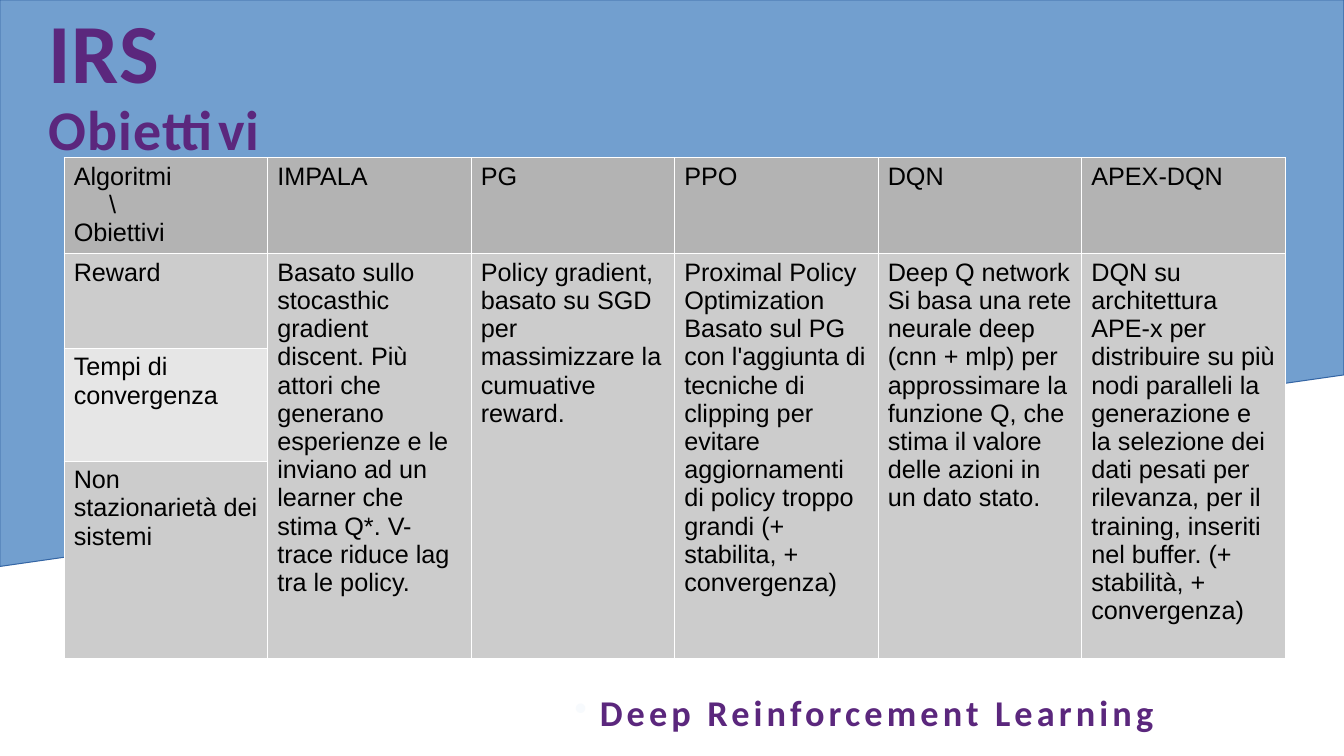
from lxml.etree import SubElement
from pptx import Presentation
from pptx.dml.color import RGBColor
from pptx.enum.text import MSO_ANCHOR
from pptx.oxml.ns import qn
from pptx.util import Cm, Emu, Inches, Pt

PURPLE = "5B277D"
HEAD = ["IMPALA", "PG", "PPO", "DQN", "APEX-DQN"]
GOALS = [
    ("Reward", "CCCCCC"),
    ("Tempi di convergenza", "E6E6E6"),
    ("Non stazionarietà dei sistemi", "CCCCCC"),
]
NOTES = [
    "Basato sullo stocasthic gradient discent. Più attori che generano "
    "esperienze e le inviano ad un learner che stima Q*. V-trace riduce lag "
    "tra le policy.",
    "Policy gradient, basato su SGD per massimizzare la cumuative reward.",
    "Proximal Policy Optimization Basato sul PG con l'aggiunta di tecniche di "
    "clipping per evitare aggiornamenti di policy troppo grandi "
    "(+ stabilita, + convergenza)",
    "Deep Q network Si basa una rete neurale deep (cnn + mlp) per approssimare "
    "la funzione Q, che stima il valore delle azioni in un dato stato.",
    "DQN su architettura APE-x per distribuire su più nodi paralleli la "
    "generazione e la selezione dei dati pesati per rilevanza, per il "
    "training, inseriti nel buffer. (+ stabilità, + convergenza)",
]


def color(code):
    """Turn a hex string into a colour."""
    return RGBColor.from_string(code)


def apply(target, values):
    """Set each named attribute on the target."""
    for name, value in values.items():
        setattr(target, name, value)


class Deck:
    """Hold the style and the slide; places are percent of the slide size."""

    title = {"name": "Calibri", "bold": True}
    body = {"name": "Arial", "size": Pt(18)}
    plain = {"first_row": False, "horz_banding": False}
    inset = {"margin_left": Cm(0.25), "margin_right": Cm(0.25),
             "margin_top": Cm(0.13), "margin_bottom": 0}

    def __init__(self):
        """Open a deck with one blank slide."""
        self.deck = Presentation()
        apply(self.deck, {"slide_width": Inches(13.33), "slide_height": Inches(7.5)})
        self.slide = self.deck.slides.add_slide(self.deck.slide_layouts[6])

    def x(self, share):
        """Convert a percent of the width."""
        return Emu(round(self.deck.slide_width * share / 100))

    def y(self, share):
        """Convert a percent of the height."""
        return Emu(round(self.deck.slide_height * share / 100))

    def box(self, left, top, width, height):
        """Convert a frame given in percent."""
        return self.x(left), self.y(top), self.x(width), self.y(height)

    def shape(self, points, fill, edge):
        """Draw a closed outline."""
        spots = [(self.x(a), self.y(b)) for a, b in points]
        pen = self.slide.shapes.build_freeform(*spots[0])
        pen.add_line_segments(spots[1:], close=True)
        form = pen.convert_to_shape()
        form.shadow.inherit = False
        form.fill.solid()
        form.fill.fore_color.rgb = color(fill)
        form.line.color.rgb = color(edge)
        form.line.width = Pt(0)

    def text(self, frame, runs, track, look, bullet=None):
        """Add a heading box whose runs are split by line breaks."""
        area = self.slide.shapes.add_textbox(*self.box(*frame)).text_frame
        apply(area, {"word_wrap": True, **look})
        para = area.paragraphs[0]
        para.line_spacing = 0.9
        for i, (words, size) in enumerate(runs):
            if i:
                para.add_line_break()
            run = para.add_run()
            run.text = words
            apply(run.font, {**self.title, "size": Pt(size)})
            run.font.color.rgb = color(PURPLE)
            run._r.get_or_add_rPr().set("spc", str(track))
        if bullet:
            para.space_before = Pt(10)
            props = para._p.get_or_add_pPr()
            props.set("marL", str(Inches(0.25)))
            props.set("indent", str(Inches(-0.25)))
            tint = SubElement(props, qn("a:buClr"))
            SubElement(tint, qn("a:srgbClr"), val=bullet)
            SubElement(props, qn("a:buChar"), char="•")

    def grid(self, frame, rows, cols):
        """Add a plain table with the given row shares."""
        spot = self.box(*frame)
        table = self.slide.shapes.add_table(len(rows), cols, *spot).table
        apply(table, self.plain)
        for row, share in zip(table.rows, rows):
            row.height = self.y(share)
        return table

    def cell(self, cell, words, fill):
        """Fill, border and write one cell."""
        apply(cell, self.inset)
        props = cell._tc.get_or_add_tcPr()
        for side in "LRTB":
            edge = SubElement(props, qn(f"a:ln{side}"), w="762")
            paint = SubElement(edge, qn("a:solidFill"))
            SubElement(paint, qn("a:srgbClr"), val="FFFFFF")
        cell.fill.solid()
        cell.fill.fore_color.rgb = color(fill)
        cell.text = words
        for para in cell.text_frame.paragraphs:
            for run in para.runs:
                apply(run.font, self.body)
                run.font.color.rgb = color("000000")
            last = SubElement(para._p, qn("a:endParaRPr"), sz="1800")
            SubElement(last, qn("a:latin"), typeface="Arial")


def main():
    """Build and save the slide."""
    deck = Deck()
    deck.shape([(0, 74.93), (0, 0), (100, 0), (100, 49.6)], "729FCF", "3465A4")
    bare = dict.fromkeys(
        ["margin_left", "margin_top", "margin_right", "margin_bottom"], 0)
    deck.text((3.6, -1.33, 76.82, 25.6), [("IRS", 60), ("Obiettivi", 40)], 90,
              {**bare, "vertical_anchor": MSO_ANCHOR.MIDDLE})
    deck.text((42.01, 91.33, 57.46, 7.87),
              [("Deep Reinforcement Learning", 25.9)], 295, {}, "F7FAFD")

    rows = [12.53, 12.53, 14.93, 26.13]
    table = deck.grid((4.75, 20.8, 90.87, sum(rows)), rows, len(HEAD) + 1)
    corner = table.cell(0, 0)
    deck.cell(corner, "Algoritmi\n\\\nObiettivi", "B3B3B3")
    slash = corner.text_frame.paragraphs[1]
    slash._p.get_or_add_pPr().set("marL", str(Inches(0.35)))
    for row, (goal, fill) in enumerate(GOALS, 1):
        deck.cell(table.cell(row, 0), goal, fill)
    for col, (name, note) in enumerate(zip(HEAD, NOTES), 1):
        deck.cell(table.cell(0, col), name, "B3B3B3")
        for row in range(1, len(rows)):
            words = note if row == 1 else ""
            deck.cell(table.cell(row, col), words, "CCCCCC")
        table.cell(1, col).merge(table.cell(len(GOALS), col))
    deck.deck.save("out.pptx")


if __name__ == "__main__":
    main()
